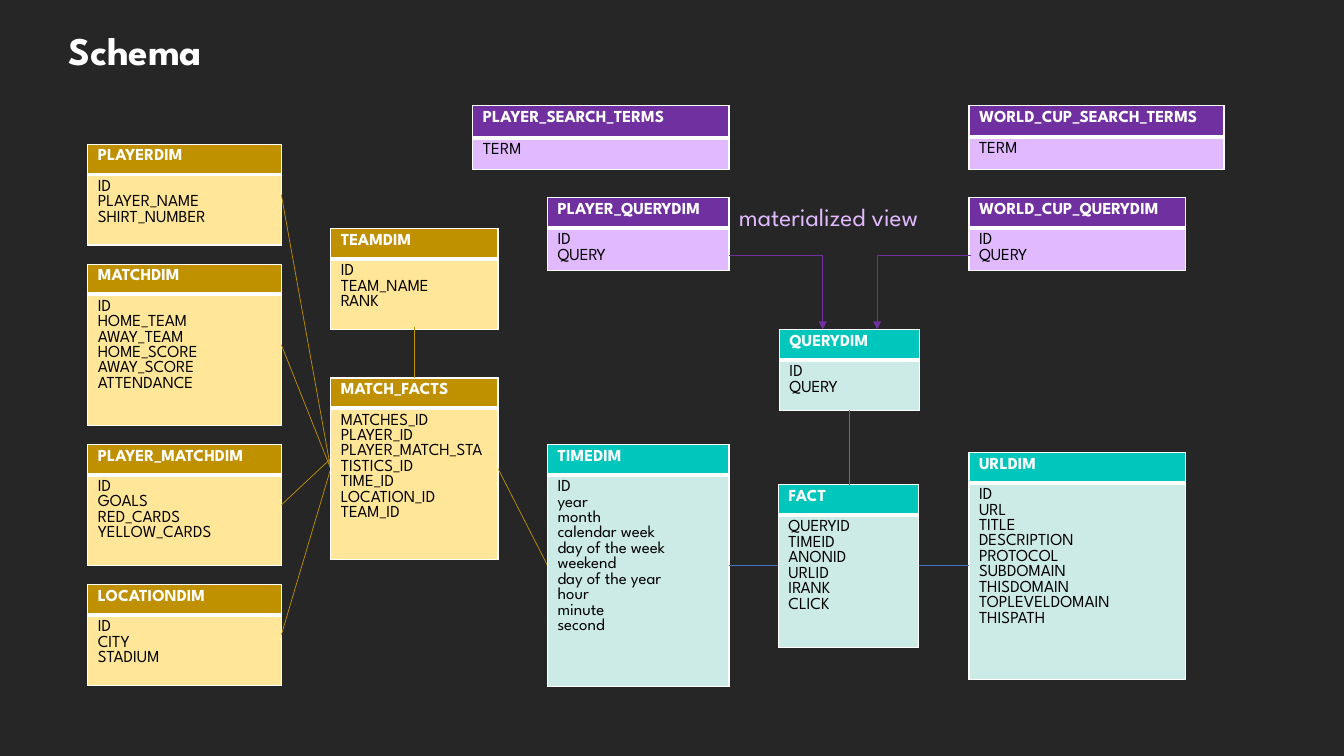
import pptx
import pptx.util
import pptx.dml.color
import pptx.enum.shapes
import pptx.enum.text
import pptx.oxml
import pptx.oxml.ns

PX = 9144
FONT = "League Spartan"
WHITE, BLACK, BACKDROP = "FFFFFF", "000000", "262626"
GOLD, CREAM = "BF9000", "FFE699"
PURPLE, LILAC = "7030A0", "E1B9FF"
TEAL, MINT = "00C6BB", "CCEAE6"
BLUE = "4472C4"


def px(length):
    return pptx.util.Emu(length * PX)


def rgb(code):
    return pptx.dml.color.RGBColor.from_string(code)


def paint(target, code):
    target.solid()
    target.fore_color.rgb = rgb(code)


def write(frame, text, size=12, color=BLACK, bold=False, space_after=0):
    for index, line in enumerate(text.split("\n")):
        paragraph = frame.add_paragraph() if index else frame.paragraphs[0]
        paragraph.alignment = pptx.enum.text.PP_ALIGN.LEFT
        paragraph.space_after = pptx.util.Pt(space_after)
        run = paragraph.add_run()
        run.text = line
        run.font.name = FONT
        run.font.size = pptx.util.Pt(size)
        run.font.bold = bold
        run.font.color.rgb = rgb(color)


def border(cell, **widths):
    for index, side in enumerate("LRTB"):
        edge = pptx.oxml.parse_xml(
            f'<a:ln{side} {pptx.oxml.ns.nsdecls("a")} w="{pptx.util.Pt(widths.get(side, 0.96))}">'
            f'<a:solidFill><a:srgbClr val="{WHITE}"/></a:solidFill></a:ln{side}>')
        cell._tc.get_or_add_tcPr().insert(index, edge)


def entity(slide, box, name, fields, palette, header=30):
    left, top, width, height = box
    grid = slide.shapes.add_table(2, 1, px(left), px(top), px(width), px(height)).table
    grid.horz_banding = False
    grid.rows[0].height = px(header)
    grid.rows[1].height = px(height - header)
    title, body = grid.cell(0, 0), grid.cell(1, 0)
    paint(title.fill, palette[0])
    paint(body.fill, palette[1])
    border(title, B=3)
    border(body, T=3)
    write(title.text_frame, name, color=WHITE, bold=True)
    write(body.text_frame, "\n".join(fields.split("|")))


def link(slide, start, end, color, arrow=False):
    line = slide.shapes.add_connector(
        pptx.enum.shapes.MSO_CONNECTOR.STRAIGHT, *map(px, (*start, *end)))
    line.line.color.rgb = rgb(color)
    line.line.width = pptx.util.Pt(0.5)
    if arrow:
        line.line._get_or_add_ln().append(pptx.oxml.parse_xml(
            f'<a:tailEnd {pptx.oxml.ns.nsdecls("a")} type="triangle"/>'))
    line._element.spPr.append(pptx.oxml.parse_xml(
        f'<a:effectLst {pptx.oxml.ns.nsdecls("a")}/>'))


def heading(slide, left, top, width, height):
    title = slide.shapes.title
    title.left, title.top, title.width, title.height = map(px, (left, top, width, height))
    frame = title.text_frame
    frame.auto_size = pptx.enum.text.MSO_AUTO_SIZE.NONE
    frame.vertical_anchor = pptx.enum.text.MSO_ANCHOR.MIDDLE
    write(frame, "Schema", size=28, color=WHITE, bold=True, space_after=6)


def matches(slide, left, top):
    palette = GOLD, CREAM
    width, gap = 192, 19
    facts_left, facts_width = left + 241, 166
    facts_top, facts_join = top + 232, top + 322
    dimensions = [
        ("PLAYERDIM", "ID|PLAYER_NAME|SHIRT_NUMBER", 100, facts_join),
        ("MATCHDIM", "ID|HOME_TEAM|AWAY_TEAM|HOME_SCORE|AWAY_SCORE|ATTENDANCE", 160, facts_join),
        ("PLAYER_MATCHDIM", "ID|GOALS|RED_CARDS|YELLOW_CARDS", 120, facts_join - 10),
        ("LOCATIONDIM", "ID|CITY|STADIUM", 100, facts_join),
    ]
    y = top
    for name, fields, height, join in dimensions:
        entity(slide, (left, y, width, height), name, fields, palette)
        link(slide, (left + width, y + height // 2), (facts_left, join), GOLD)
        y += height + gap
    entity(slide, (facts_left, facts_top, facts_width, 180), "MATCH_FACTS",
           "MATCHES_ID|PLAYER_ID|PLAYER_MATCH_STATISTICS_ID|TIME_ID|LOCATION_ID|TEAM_ID", palette)
    entity(slide, (facts_left, top + 84, facts_width, 100), "TEAMDIM",
           "ID|TEAM_NAME|RANK", palette)
    middle = facts_left + facts_width // 2
    link(slide, (middle, top + 181), (middle, facts_top), GOLD)
    link(slide, (left + 456, top + 418), (facts_left + facts_width, facts_join), GOLD)


def searches(slide, left, top):
    palette = PURPLE, LILAC
    cup_left, query_top = left + 492, top + 91
    entity(slide, (left, top, 254, 63), "PLAYER_SEARCH_TERMS", "TERM", palette, header=32)
    entity(slide, (cup_left, top, 253, 63), "WORLD_CUP_SEARCH_TERMS", "TERM", palette, header=31)
    entity(slide, (left + 74, query_top, 180, 72), "PLAYER_QUERYDIM", "ID|QUERY", palette)
    entity(slide, (cup_left, query_top, 215, 72), "WORLD_CUP_QUERYDIM", "ID|QUERY", palette)
    view = slide.shapes.add_textbox(*map(px, (left + 254, top + 90, 241, 40))).text_frame
    view.word_wrap = False
    write(view, "materialized view", size=18, color=LILAC)
    for source, bend in ((254, 347), (494, 401)):
        corner = left + bend, top + 148
        link(slide, (left + source, top + 148), corner, PURPLE)
        link(slide, corner, (left + bend, top + 222), PURPLE, arrow=True)


def clicks(slide, left, top):
    palette = TEAL, MINT
    entity(slide, (left + 230, top, 139, 72), "QUERYDIM", "ID|QUERY", palette)
    entity(slide, (left, top + 114, 180, 188), "TIMEDIM",
           "ID|year|month|calendar week|day of the week|weekend|day of the year|hour|minute|second",
           palette, header=25)
    entity(slide, (left + 229, top + 154, 139, 161), "FACT",
           "QUERYID|TIMEID|ANONID|URLID|IRANK|CLICK", palette)
    entity(slide, (left + 418, top + 122, 215, 225), "URLDIM",
           "ID|URL|TITLE|DESCRIPTION|PROTOCOL|SUBDOMAIN|THISDOMAIN|TOPLEVELDOMAIN|THISPATH",
           palette)
    for start, end in (((229, 234), (180, 234)), ((369, 234), (418, 234)), ((299, 154), (299, 80))):
        link(slide, (left + start[0], top + start[1]), (left + end[0], top + end[1]), BLUE)


def main():
    deck = pptx.Presentation()
    deck.slide_width, deck.slide_height = px(1333), px(750)
    slide = deck.slides.add_slide(deck.slide_layouts[5])
    paint(slide.background.fill, BACKDROP)
    heading(slide, 58, -4, 1156, 106)
    matches(slide, 87, 143)
    searches(slide, 469, 105)
    clicks(slide, 543, 327)
    deck.save("out.pptx")


if __name__ == "__main__":
    main()
